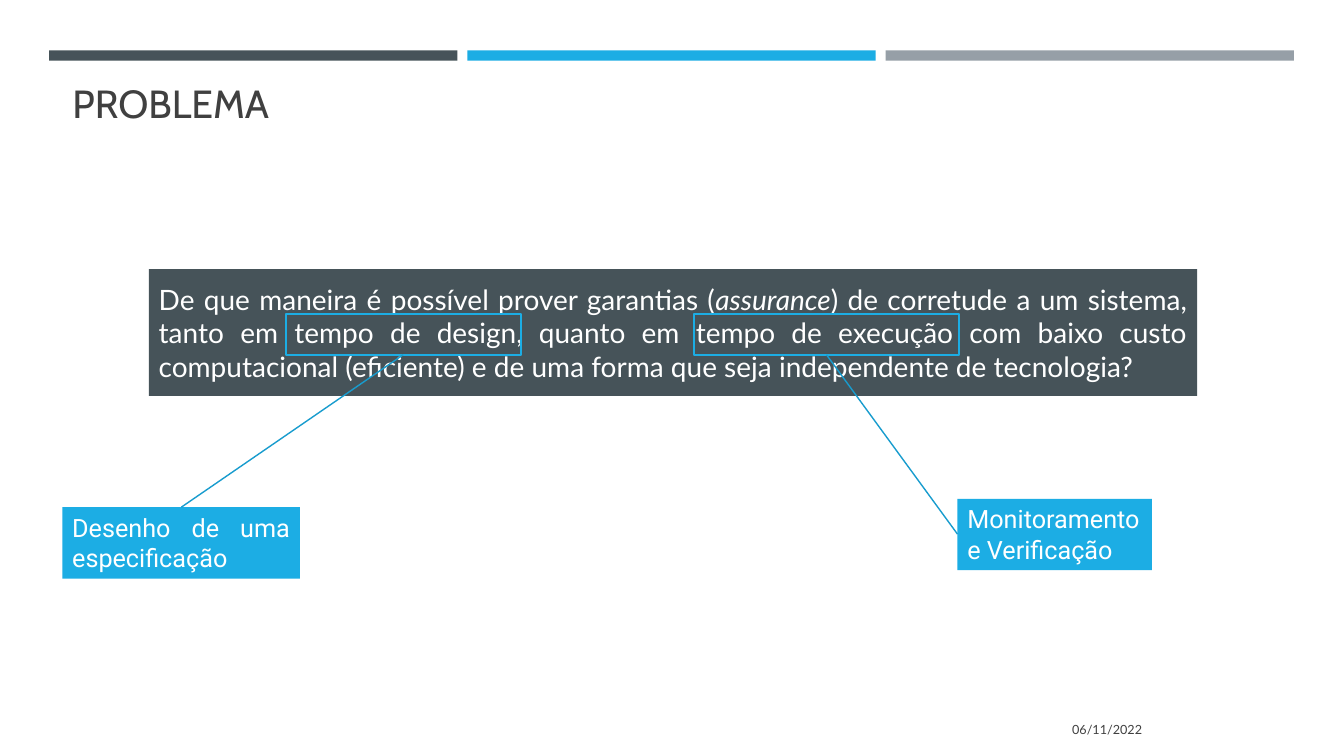
from pptx import Presentation
from pptx.dml.color import RGBColor
from pptx.enum.shapes import MSO_CONNECTOR, MSO_SHAPE
from pptx.enum.text import MSO_ANCHOR, MSO_AUTO_SIZE, PP_ALIGN
from pptx.oxml.ns import qn
from pptx.util import Cm, Pt
from lxml import etree

COLORS = {"dark": "465359", "blue": "1CADE4", "gray": "969FA7",
          "line": "189CCE", "text": "404040", "white": "FFFFFF"}

prs = Presentation()
prs.slide_width, prs.slide_height = Cm(33.87), Cm(19.05)
s = prs.slides.add_slide(prs.slide_layouts[5])


def add_rect(x, y, w, h, fill=None, line=None):
    sp = s.shapes.add_shape(MSO_SHAPE.RECTANGLE, Cm(x), Cm(y), Cm(w), Cm(h))
    sp.shadow.inherit = False
    if fill:
        sp.fill.solid()
        sp.fill.fore_color.rgb = RGBColor.from_string(COLORS[fill])
    else:
        sp.fill.background()
    if line:
        sp.line.color.rgb = RGBColor.from_string(COLORS[line])
        sp.line.width = Pt(1.5)
    else:
        sp.line.fill.background()
    return sp


def format_text(sp, font, size, color, align, anchor):
    tf = sp.text_frame
    tf.word_wrap = True
    tf.auto_size = MSO_AUTO_SIZE.NONE
    tf.vertical_anchor = anchor
    p = tf.paragraphs[0]
    p.alignment = align
    for r in p.runs:
        r.font.name = font
        r.font.size = Pt(size)
        r.font.color.rgb = RGBColor.from_string(COLORS[color])


# Header bars
for i, color in enumerate(("dark", "blue", "gray")):
    add_rect(1.24 + i * 10.54, 1.27, 10.29, 0.26, fill=color)

# Title
title = s.shapes.title
title.left, title.top, title.width, title.height = Cm(1.57), Cm(1.65), Cm(29.21), Cm(1.65)
title.text_frame.text = "PROBLEMA"
format_text(title, "Cabin", 28, "text", PP_ALIGN.LEFT, MSO_ANCHOR.BOTTOM)

# Research question
question = add_rect(3.75, 6.78, 26.42, 3.2, fill="dark")
p = question.text_frame.paragraphs[0]
for text, italic in (
    ("De que maneira é possível prover garantias (", False),
    ("assurance", True),
    (") de corretude a um sistema, tanto em tempo de design, quanto em tempo de "
     "execução com baixo custo computacional (eficiente) e de uma forma que seja "
     "independente de tecnologia?", False),
):
    r = p.add_run()
    r.text = text
    r.font.italic = italic
format_text(question, "Lato", 20, "white", PP_ALIGN.JUSTIFY, MSO_ANCHOR.MIDDLE)

# Highlighted phrases, their notes and the lines between them
# (text, highlight x and width, note x, y and width, line start x, line end)
notes = (
    ("Desenho de uma especificação", 7.21, 5.92, 1.57, 12.78, 5.99, 10.16, (4.57, 12.78)),
    ("Monitoramento e Verificação", 17.5, 6.68, 24.13, 12.57, 4.9, 20.83, (24.13, 13.46)),
)
for text, mark_x, mark_w, x, y, w, start_x, (end_x, end_y) in notes:
    add_rect(mark_x, 7.92, mark_w, 1.02, line="blue")
    note = add_rect(x, y, w, 1.8, fill="blue")
    note.text_frame.text = text
    format_text(note, "Roboto", 18, "white", PP_ALIGN.JUSTIFY, MSO_ANCHOR.TOP)
    line = s.shapes.add_connector(MSO_CONNECTOR.STRAIGHT, Cm(start_x), Cm(8.94),
                                  Cm(end_x), Cm(end_y))
    line.line.color.rgb = RGBColor.from_string(COLORS["line"])
    line.line.width = Pt(1)
    etree.SubElement(line._element.spPr, qn("a:effectLst"))

# Date
date = s.shapes.add_textbox(Cm(21.13), Cm(17.86), Cm(7.9), Cm(1.02))
date.text_frame.text = "06/11/2022"
format_text(date, "Lato", 9, "text", PP_ALIGN.RIGHT, MSO_ANCHOR.MIDDLE)
date.text_frame.paragraphs[0].space_after = Pt(6)

prs.save("out.pptx")
